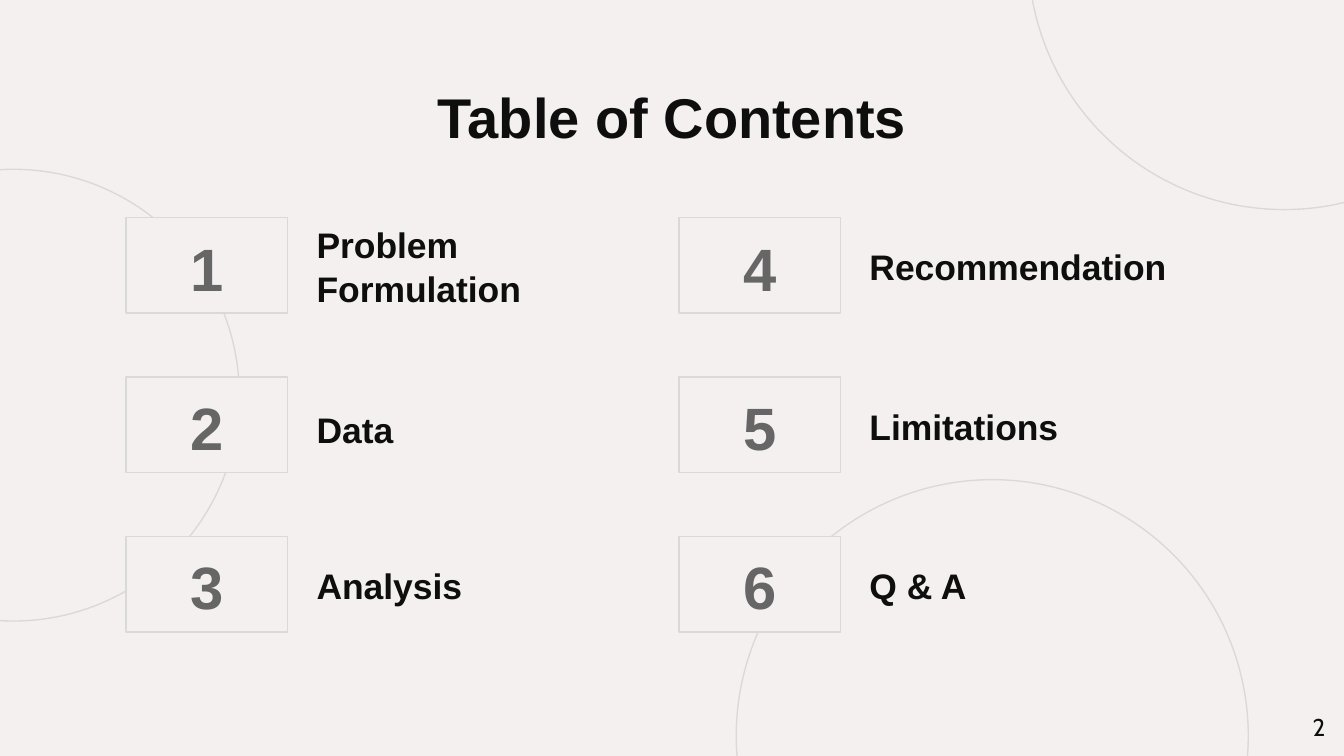
from dataclasses import dataclass
from pptx import Presentation
from pptx.dml.color import RGBColor
from pptx.enum.shapes import MSO_SHAPE
from pptx.enum.text import MSO_ANCHOR, PP_ALIGN
from pptx.util import Pt


@dataclass(frozen=True)
class Theme:
    paper: str = "F4F0EF"
    edge: str = "D9D9D9"
    ink: str = "0E0E0E"
    gray: str = "666666"
    font: str = "Arial"
    small: str = "Cabin"
    title: float = 30
    digit: float = 32
    label: float = 19
    page: float = 13
    inset: float = 7.2
    rule: float = 0.75
    lead: float = 1.05


class Deck:
    def __init__(self, slide, theme):
        self.slide = slide
        self.theme = theme
        back = slide.background.fill
        back.solid()
        back.fore_color.rgb = RGBColor.from_string(theme.paper)

    def shape(self, kind, x, y, w, h):
        item = self.slide.shapes.add_shape(kind, Pt(x), Pt(y), Pt(w), Pt(h))
        item.shadow.inherit = False
        item.line.color.rgb = RGBColor.from_string(self.theme.edge)
        item.line.width = Pt(self.theme.rule)
        return item

    def ring(self, x, y, size):
        self.shape(MSO_SHAPE.OVAL, x, y, size, size).fill.background()

    def label(self, item, text, size, color, align, anchor=MSO_ANCHOR.MIDDLE,
              bold=True, font=None):
        frame = item.text_frame
        frame.word_wrap = True
        frame.vertical_anchor = anchor
        frame.margin_left = frame.margin_right = Pt(self.theme.inset)
        frame.margin_top = frame.margin_bottom = Pt(self.theme.inset)
        frame.text = text
        para = frame.paragraphs[0]
        para.alignment = align
        para.line_spacing = self.theme.lead
        face = para.runs[0].font
        face.name = font or self.theme.font
        face.size = Pt(size)
        face.bold = bold
        face.color.rgb = RGBColor.from_string(color)

    def text(self, x, y, w, h, text, size, align=PP_ALIGN.LEFT, **style):
        item = self.slide.shapes.add_textbox(Pt(x), Pt(y), Pt(w), Pt(h))
        self.label(item, text, size, self.theme.ink, align, **style)

    def badge(self, x, y, w, h, text):
        item = self.shape(MSO_SHAPE.RECTANGLE, x, y, w, h)
        item.fill.solid()
        item.fill.fore_color.rgb = RGBColor.from_string(self.theme.paper)
        self.label(item, text, self.theme.digit, self.theme.gray,
                   PP_ALIGN.CENTER)


def main():
    show = Presentation()
    show.slide_width, show.slide_height = Pt(720), Pt(405)
    theme = Theme()
    deck = Deck(show.slides.add_slide(show.slide_layouts[6]), theme)

    # Background rings
    for x, y, size in ((394.4, 257, 274.3), (-113.8, 90.7, 242),
                       (550.8, -162, 274.3)):
        deck.ring(x, y, size)

    # Title
    deck.text(56.6, 35.3, 607, 45.4, "Table of Contents", theme.title,
              PP_ALIGN.CENTER, anchor=MSO_ANCHOR.TOP)

    # Numbered topics, down each column
    topics = ("Problem Formulation", "Data", "Analysis",
              "Recommendation", "Limitations", "Q & A")
    left, top, wide, high = 67.5, 116.6, 86.6, 51.1
    step, drop, gap = 296.2, 85.4, 8.4
    for i, topic in enumerate(topics):
        col, row = divmod(i, 3)
        x, y = left + col * step, top + row * drop
        deck.badge(x, y, wide, high, str(i + 1))
        nudge = 2 if topic == "Data" else 0
        deck.text(x + wide + gap, y + nudge, 214 if col else 193.7, high,
                  topic, theme.label)

    # Page number
    deck.text(673.9, 373.7, 43.2, 31, "2", theme.page, PP_ALIGN.RIGHT,
              anchor=MSO_ANCHOR.TOP, bold=False, font=theme.small)

    show.save("out.pptx")


if __name__ == "__main__":
    main()
